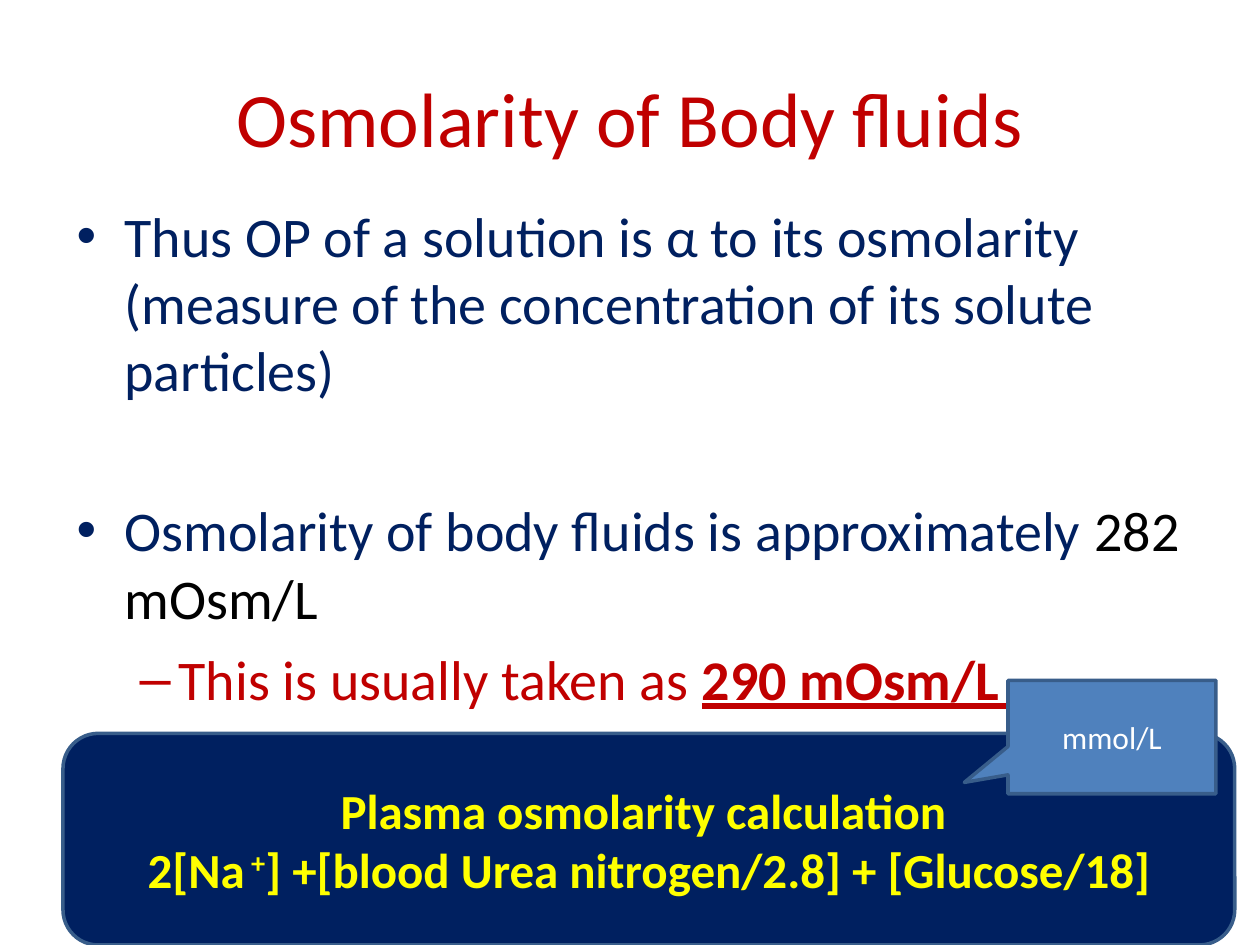
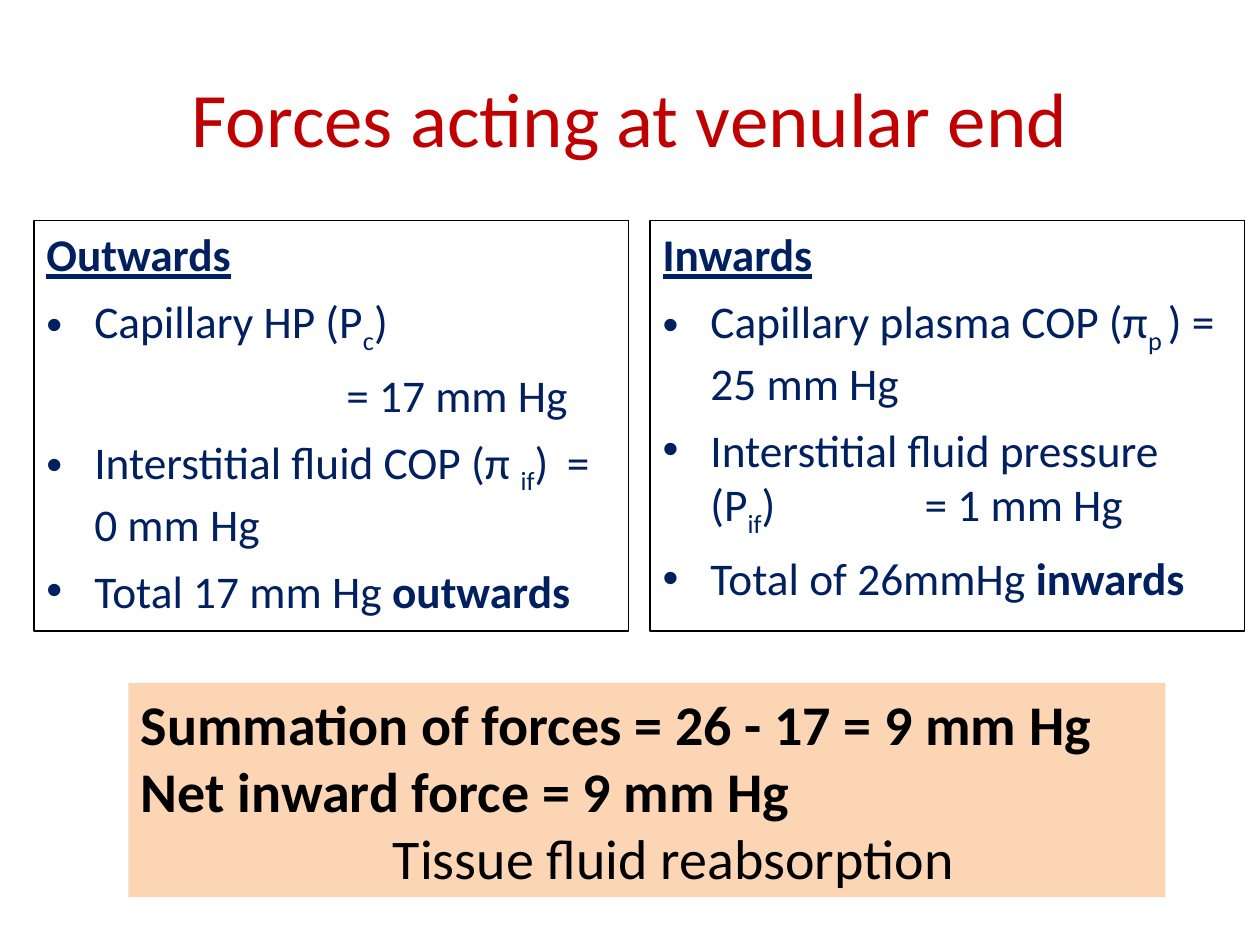
from lxml import etree
from pptx import Presentation
from pptx.dml.color import RGBColor
from pptx.enum.shapes import MSO_SHAPE
from pptx.enum.text import MSO_ANCHOR, PP_ALIGN
from pptx.oxml.ns import qn
from pptx.util import Inches, Pt

RECT = MSO_SHAPE.RECTANGLE
ROUND = MSO_SHAPE.ROUNDED_RECTANGLE
CALLOUT = MSO_SHAPE.RECTANGULAR_CALLOUT
TOP, MIDDLE = MSO_ANCHOR.TOP, MSO_ANCHOR.MIDDLE
LEFT, CENTER = PP_ALIGN.LEFT, PP_ALIGN.CENTER

FONT = "Calibri"
RED, NAVY, BLUE, EDGE = "C00000", "002060", "4F81BD", "385D8A"
PEACH, YELLOW, BLACK, WHITE = "FCD5B5", "FFFF00", "000000", "FFFFFF"
rgb = RGBColor.from_string


def box(slide, kind, spot, fill=None, line=None, width=2, anchor=TOP):
    """Add a shape at spot (left, top, width, height); return it."""
    shape = slide.shapes.add_shape(kind, *map(Inches, spot))
    shape.shadow.inherit = False
    if fill:
        shape.fill.solid()
        shape.fill.fore_color.rgb = rgb(fill)
    else:
        shape.fill.background()
    if line:
        shape.line.color.rgb = rgb(line)
        shape.line.width = Pt(width)
    else:
        shape.line.fill.background()
    shape.text_frame.word_wrap = True
    shape.text_frame.vertical_anchor = anchor
    return shape


def para(shape, runs, size, color, align=LEFT, before=0, left=0, hang=0,
         mark=None, tab=None):
    """Add a paragraph; each run is (text, style), where style may hold
    b (bold), u (underline), color and base (raised or lowered, percent)."""
    frame = shape.text_frame
    first = not frame.paragraphs[0].runs
    line = frame.paragraphs[0] if first else frame.add_paragraph()
    props = line._p.get_or_add_pPr()
    props.set("marL", str(Inches(left)))
    props.set("indent", str(Inches(-hang)))
    if mark:
        tint = etree.SubElement(props, qn("a:buClr"))
        etree.SubElement(tint, qn("a:srgbClr"), val=color)
        etree.SubElement(props, qn("a:buFont"), typeface="Arial")
        etree.SubElement(props, qn("a:buChar"), char=mark)
    if tab:
        stops = etree.SubElement(props, qn("a:tabLst"))
        etree.SubElement(stops, qn("a:tab"), pos=str(Inches(tab)), algn="l")
    line.alignment = align
    line.space_before = Pt(0 if first else before)
    for text, style in runs:
        run = line.add_run()
        run.text = text
        run.font.name = FONT
        run.font.size = Pt(size)
        run.font.bold = style.get("b", False)
        run.font.underline = style.get("u", False)
        run.font.color.rgb = rgb(style.get("color", color))
        if "base" in style:
            run._r.get_or_add_rPr().set("baseline", str(style["base"] * 1000))


deck = Presentation()
deck.slide_width, deck.slide_height = Inches(10), Inches(7.5)
blank = deck.slide_layouts[6]

# Titles
pages = []
for title in ("Osmolarity of Body fluids", "Forces acting at venular end"):
    page = deck.slides.add_slide(blank)
    head = box(page, RECT, (0.5, 0.3, 9, 1.25), anchor=MIDDLE)
    para(head, [(title, {})], 44, RED, CENTER)
    pages.append(page)
fluids, forces = pages

BOLD = {"b": True}
STRONG = {"b": True, "u": True}
SUB = {"base": -25}
POINT = {"left": 0.38, "hang": 0.38, "mark": "•"}

# Slide 1: osmolarity
body = box(fluids, RECT, (0.51, 1.55, 9, 4.95))
para(body, [("Thus OP of a solution is α to its osmolarity (measure of the "
             "concentration of its solute particles)", {})],
     32, NAVY, **POINT)
para(body, [("Osmolarity of body fluids is approximately ", {}),
            ("282 mOsm/L", {"color": BLACK})],
     32, NAVY, before=53, **POINT)
para(body, [("This is usually taken as ", {}), ("290 mOsm/L ", STRONG)],
     32, RED, before=8, left=0.81, hang=0.31, mark="–")

sums = box(fluids, ROUND, (0.5, 5.82, 9.3, 1.68), NAVY, EDGE, anchor=MIDDLE)
para(sums, [("Plasma osmolarity calculation ", BOLD)], 28, YELLOW, CENTER)
para(sums, [("2[Na", BOLD), (" +", {"b": True, "base": 30}),
            ("] +[blood Urea nitrogen/2.8] + [Glucose/18]", BOLD)],
     28, YELLOW, CENTER)

unit = box(fluids, CALLOUT, (8, 5.4, 1.65, 0.9), BLUE, EDGE, anchor=MIDDLE)
unit.adjustments[0], unit.adjustments[1] = -0.71, 0.4
para(unit, [("mmol/L", {})], 18, WHITE, CENTER)

# Slide 2: one panel per direction; each row is (runs, layout)
panels = [
    (0.27, "Outwards", [
        ([("Capillary HP (P", {}), ("c", SUB), (")", {})], POINT),
        ([("= 17 mm Hg", {})], {"left": 2.38}),
        ([("Interstitial fluid COP (π ", {}), ("if", SUB),
          (")\t= 0 mm Hg", {})], {**POINT, "tab": 4.13}),
        ([("Total 17 mm Hg ", {}), ("outwards", BOLD)], POINT),
    ]),
    (5.16, "Inwards", [
        ([("Capillary plasma COP (π", {}), ("p ", SUB),
          (") = 25 mm Hg", {})], POINT),
        ([("Interstitial fluid pressure (P", {}), ("if", SUB),
          (")\t= 1 mm Hg", {})], {**POINT, "tab": 2.08}),
        ([("Total of 26mmHg ", {}), ("inwards", BOLD)], POINT),
    ]),
]
for x, name, rows in panels:
    panel = box(forces, RECT, (x, 1.75, 4.72, 3.26), line=BLACK, width=0.75)
    para(panel, [(name, STRONG)], 25.9, NAVY)
    for runs, form in rows:
        para(panel, runs, 25.9, NAVY, before=7, **form)

net = box(forces, RECT, (1.02, 5.42, 8.23, 1.7), PEACH)
for text, style, left in (
        ("Summation of forces = 26 - 17 = 9 mm Hg", BOLD, 0),
        ("Net inward force = 9 mm Hg", BOLD, 0),
        ("Tissue fluid reabsorption", {}, 2)):
    para(net, [(text, style)], 32, BLACK, left=left)

deck.save("out.pptx")
